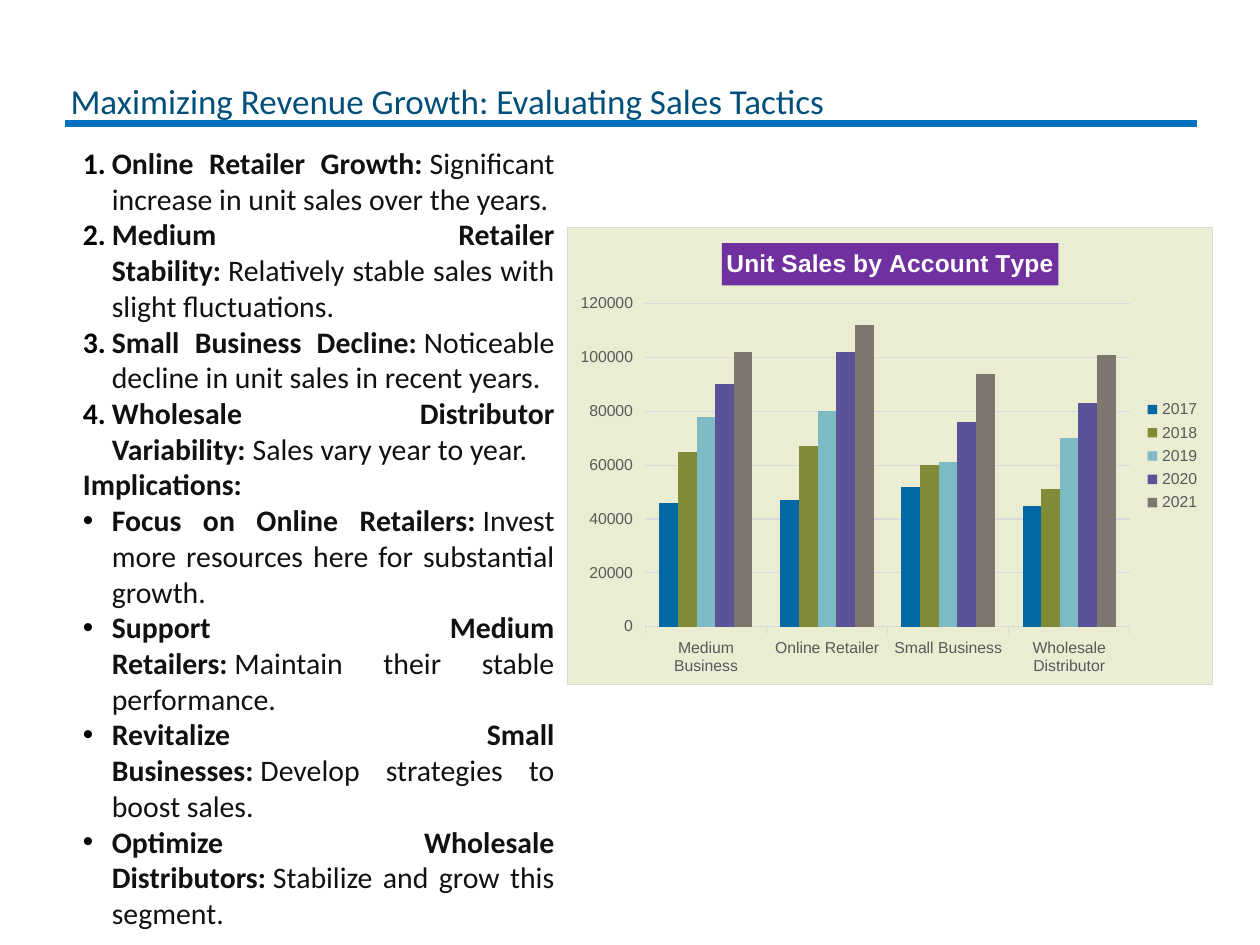
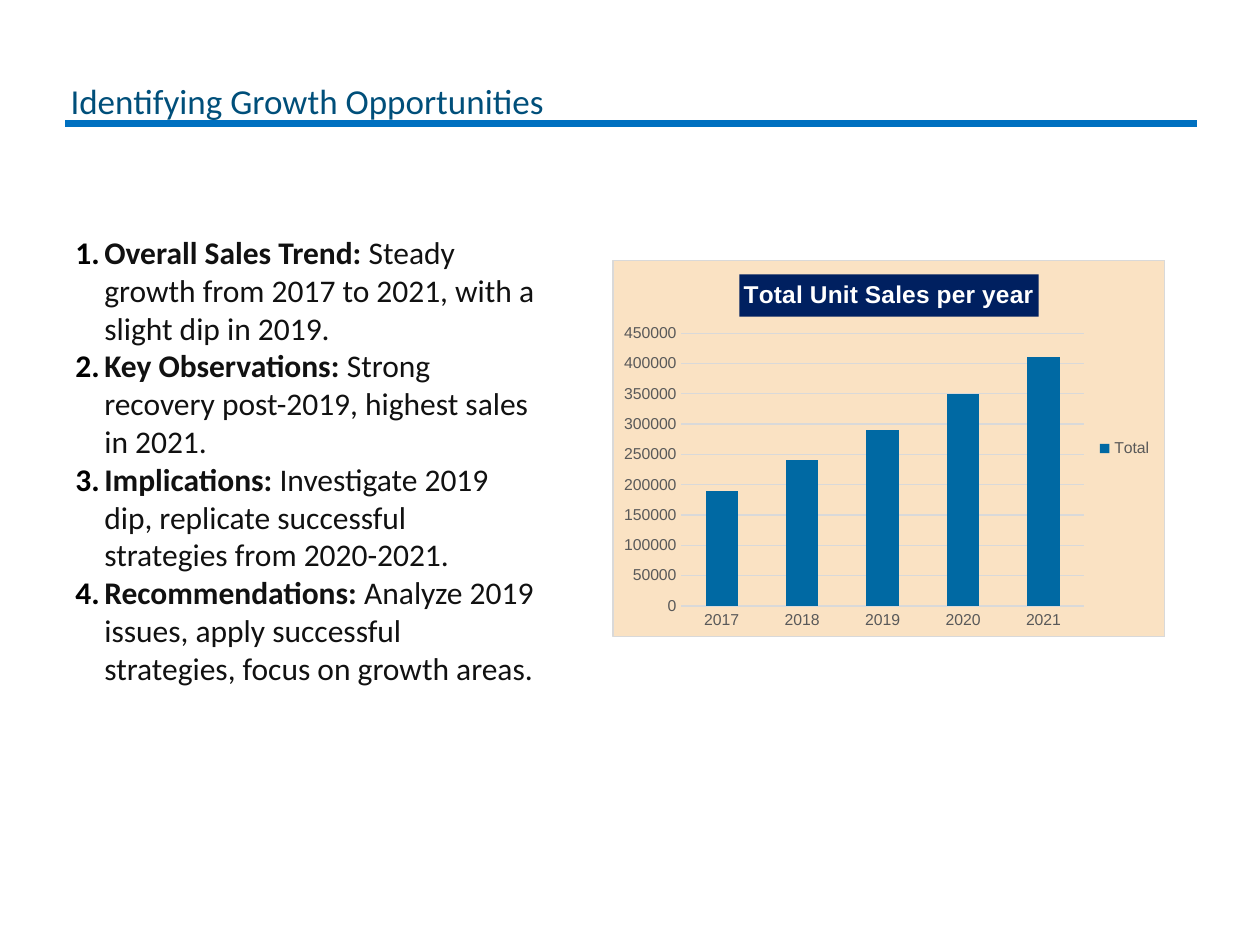
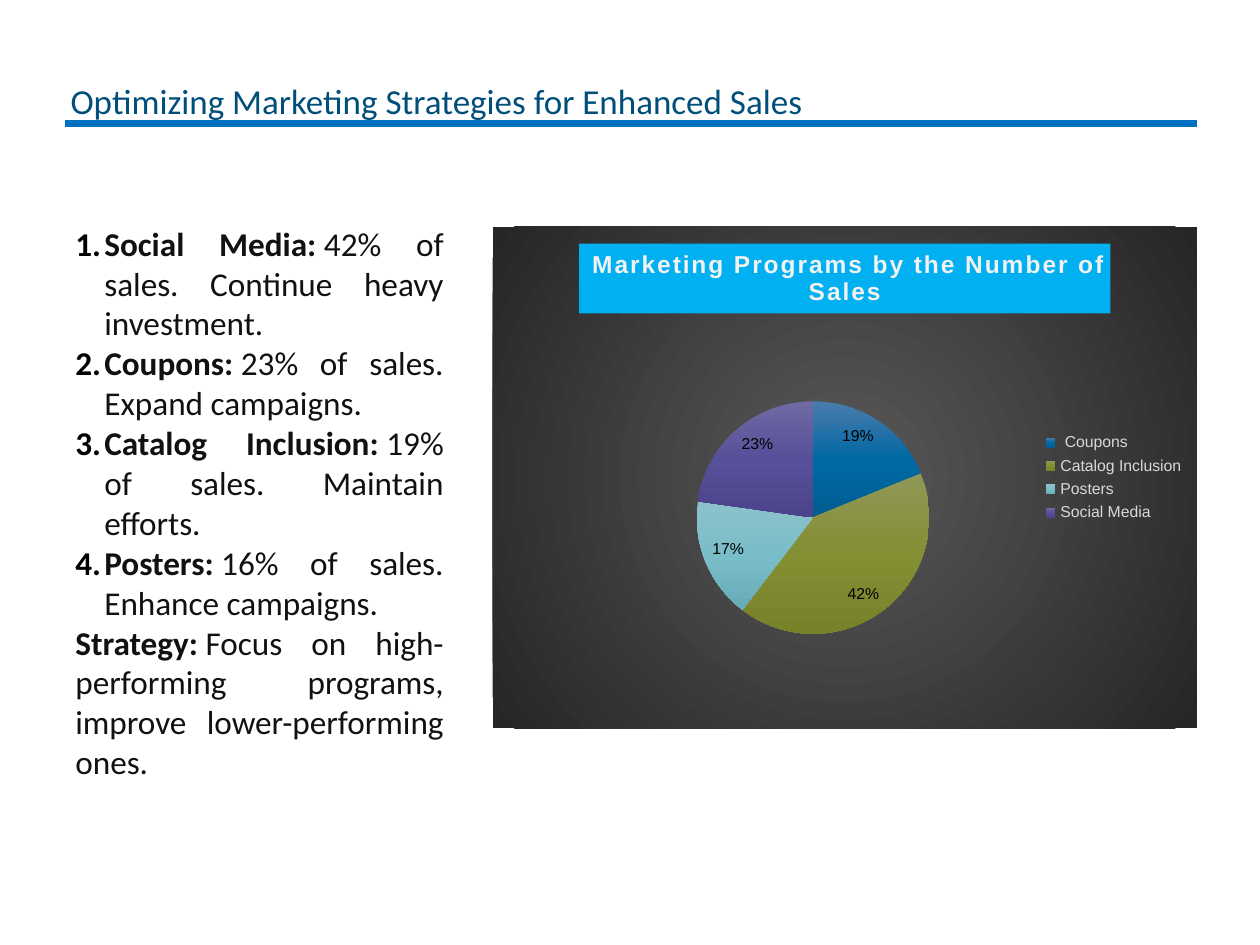
from dataclasses import dataclass

from pptx import Presentation, util as u
from pptx.chart import data as chart_data
from pptx.dml.color import RGBColor
from pptx.enum import chart as ch, shapes, text
from pptx.oxml import parse_xml
from pptx.oxml.ns import nsdecls, qn


@dataclass(frozen=True)
class Theme:
    body_font: str = "Calibri"
    chart_font: str = "Arial"
    heading: str = "004F7A"
    rule: str = "0070C0"
    body: str = "111111"
    black: str = "000000"
    white: str = "FFFFFF"
    axis: str = "595959"
    grid: str = "D9D9D9"
    accents: tuple = ("0069A3", "818A37", "7DBAC4", "5A5397", "7E776F")
    heading_size: int = 20
    chart_title_size: int = 14
    chart_size: int = 10
    label_size: int = 9


THEME = Theme()
PX = 9144  # 100 px to the inch
INDENT = 23
NBSP = chr(160)
DOWN = '<a:lin ang="5400000" scaled="0"/>'
FROM_CENTRE = ('<a:path path="circle"><a:fillToRect l="50000" t="50000" '
               'r="50000" b="50000"/></a:path>')

SLIDES = [
    dict(
        title="Maximizing Revenue Growth: Evaluating Sales Tactics",
        notes_box=(56, 110, 394, 577), size=17, align=text.PP_ALIGN.JUSTIFY,
        points=[
            ("1", "Online Retailer Growth:", "Significant increase in unit sales over the years."),
            ("1", "Medium Retailer Stability:", "Relatively stable sales with slight fluctuations."),
            ("1", "Small Business Decline:", "Noticeable decline in unit sales in recent years."),
            ("1", "Wholesale Distributor Variability:", "Sales vary year to year."),
            ("", "Implications:", ""),
            ("•", "Focus on Online Retailers:", "Invest more resources here for substantial growth."),
            ("•", "Support Medium Retailers:", "Maintain their stable performance."),
            ("•", "Revitalize Small Businesses:", "Develop strategies to boost sales."),
            ("•", "Optimize Wholesale Distributors:", "Stabilize and grow this segment."),
        ],
        kind=ch.XL_CHART_TYPE.COLUMN_CLUSTERED, chart_box=(450, 180, 513, 364),
        chart_title="Unit Sales by Account Type", title_fill="7030A0",
        area=["EAEDD2"], legend_color=THEME.axis, axis_line=True,
        categories=["Medium Business", "Online Retailer", "Small Business",
                    "Wholesale Distributor"],
        series={
            "2017": (46000, 47000, 52000, 45000),
            "2018": (65000, 67000, 60000, 51000),
            "2019": (78000, 80000, 61000, 70000),
            "2020": (90000, 102000, 76000, 83000),
            "2021": (102000, 112000, 94000, 101000),
        },
    ),
    dict(
        title="Identifying Growth Opportunities",
        notes_box=(50, 180, 386, 404), size=18, align=text.PP_ALIGN.LEFT,
        points=[
            ("1", "Overall Sales Trend:", "Steady growth from 2017 to 2021, with a slight dip in 2019."),
            ("1", "Key Observations:", "Strong recovery post-2019, highest sales in 2021."),
            ("1", "Implications:",
             "Investigate 2019 dip, replicate successful strategies from 2020-2021."),
            ("1", "Recommendations:",
             "Analyze 2019 issues, apply successful strategies, focus on growth areas."),
        ],
        kind=ch.XL_CHART_TYPE.COLUMN_CLUSTERED, chart_box=(486, 206, 439, 300),
        chart_title="Total Unit Sales per year", title_fill="002060",
        area=["FAE2C3"], legend_color=THEME.axis, axis_line=False,
        categories=["2017", "2018", "2019", "2020", "2021"],
        series={"Total": (190000, 240000, 290000, 350000, 410000)},
    ),
    dict(
        title="Optimizing Marketing Strategies for Enhanced Sales",
        notes_box=(50, 172, 312, 458), size=19, align=text.PP_ALIGN.JUSTIFY,
        points=[
            ("1", "Social Media:", "42% of sales. Continue heavy investment."),
            ("1", "Coupons:", "23% of sales. Expand campaigns."),
            ("1", "Catalog Inclusion:", "19% of sales. Maintain efforts."),
            ("1", "Posters:", "16% of sales. Enhance campaigns."),
            ("", "Strategy:", "Focus on high-performing programs, improve lower-performing ones."),
        ],
        kind=ch.XL_CHART_TYPE.PIE, chart_box=(391, 180, 559, 398),
        chart_title=" Marketing Programs by the Number of Sales", title_fill="00B0F0",
        title_color="F2F2F2", title_spacing=100,
        area=["595959", "262626"], legend_color=THEME.grid,
        categories=[" Coupons", "Catalog Inclusion", "Posters", "Social Media"],
        series={"Series 1": (19, 42, 17, 23)},
        slices=[("4B7BAD", "0069A3", "005D91"), ("909858", "848E33", "788229"),
                ("8DC2CB", "79BDC8", "68ABB6"), ("6F6AA3", "57509A", "4B448C")],
    ),
]


def write(paragraph, words, *, size, color, bold=False, font=THEME.body_font, spacing=0):
    run = paragraph.add_run()
    run.text = words
    run.font.size, run.font.bold, run.font.name = u.Pt(size), bold, font
    run.font.color.rgb = RGBColor.from_string(color)
    if spacing:
        run.font._element.set("spc", str(spacing))


def fill_properties(colors, direction, border=""):
    """Chart shape properties: solid for one colour, evenly spaced gradient for more."""
    swatches = [f'<a:srgbClr val="{color}"/>' for color in colors]
    if len(colors) == 1:
        fill = f"<a:solidFill>{swatches[0]}</a:solidFill>"
    else:
        stops = "".join(f'<a:gs pos="{100000 * i // (len(colors) - 1)}">{swatch}</a:gs>'
                        for i, swatch in enumerate(swatches))
        fill = f'<a:gradFill rotWithShape="1"><a:gsLst>{stops}</a:gsLst>{direction}</a:gradFill>'
    outline = (f'<a:ln w="9525"><a:solidFill><a:srgbClr val="{border}"/></a:solidFill></a:ln>'
               if border else "<a:ln><a:noFill/></a:ln>")
    return parse_xml(f'<c:spPr {nsdecls("c", "a")}>{fill}{outline}</c:spPr>')


prs = Presentation()
prs.slide_width, prs.slide_height = 1000 * PX, 750 * PX
layout = prs.slide_layouts[5]

for number, content in enumerate(SLIDES):
    slide = prs.slides.add_slide(layout)

    # The rule under the title lives on the layout, behind every slide's text.
    if number == 0:
        rule = slide.shapes.add_connector(shapes.MSO_CONNECTOR.STRAIGHT,
                                          52 * PX, 98 * PX, 950 * PX, 98 * PX)
        rule.line.color.rgb = RGBColor.from_string(THEME.rule)
        rule.line.width = u.Pt(4.5)
        rule.element.spPr.append(parse_xml(f'<a:effectLst {nsdecls("a")}/>'))
        layout.shapes.element.append(rule.element)

    title = slide.shapes.title
    title.left, title.top, title.width, title.height = 56 * PX, 67 * PX, 900 * PX, 30 * PX
    heading = title.text_frame
    heading.margin_left = heading.margin_right = 0
    heading.margin_top = heading.margin_bottom = 5 * PX
    heading.vertical_anchor = text.MSO_ANCHOR.MIDDLE
    heading.auto_size = text.MSO_AUTO_SIZE.NONE
    heading.paragraphs[0].alignment = text.PP_ALIGN.LEFT
    heading.paragraphs[0].line_spacing = 0.9
    write(heading.paragraphs[0], content["title"], size=THEME.heading_size, color=THEME.heading)

    findings = slide.shapes.add_textbox(*(n * PX for n in content["notes_box"])).text_frame
    findings.word_wrap = True
    findings.auto_size = text.MSO_AUTO_SIZE.SHAPE_TO_FIT_TEXT
    for i, (marker, lead, detail) in enumerate(content["points"]):
        point = findings.add_paragraph() if i else findings.paragraphs[0]
        point.alignment = content["align"]
        write(point, lead, size=content["size"], color=THEME.body, bold=True)
        if detail:
            write(point, NBSP + detail, size=content["size"], color=THEME.body)
        if marker:
            props = point._p.get_or_add_pPr()
            props.set("marL", str(INDENT * PX))
            props.set("indent", str(-INDENT * PX))
            bullet = [f'<a:buClr {nsdecls("a")}><a:srgbClr val="{THEME.black}"/></a:buClr>']
            if marker == "1":
                bullet.append(f'<a:buAutoNum {nsdecls("a")} type="arabicPeriod"/>')
            else:
                bullet.append(f'<a:buFont {nsdecls("a")} typeface="{THEME.chart_font}"/>')
                bullet.append(f'<a:buChar {nsdecls("a")} char="{marker}"/>')
            for part in bullet:
                props.append(parse_xml(part))

    sales = chart_data.CategoryChartData()
    sales.categories = content["categories"]
    for name, values in content["series"].items():
        sales.add_series(name, values)
    chart = slide.shapes.add_chart(content["kind"], *(n * PX for n in content["chart_box"]),
                                   sales).chart
    chart.font.size, chart.font.name = u.Pt(THEME.chart_size), THEME.chart_font
    chart.font.color.rgb = RGBColor.from_string(THEME.black)
    is_pie = "slices" in content
    chart.element.find(qn("c:chart")).addnext(
        fill_properties(content["area"], FROM_CENTRE, border="" if is_pie else THEME.grid))

    chart.has_title = True
    chart.chart_title.include_in_layout = False
    banner = chart.chart_title.format.fill
    banner.solid()
    banner.fore_color.rgb = RGBColor.from_string(content["title_fill"])
    write(chart.chart_title.text_frame.paragraphs[0], content["chart_title"],
          size=THEME.chart_title_size, color=content.get("title_color", THEME.white),
          bold=True, font=THEME.chart_font, spacing=content.get("title_spacing", 0))

    chart.has_legend = True
    chart.legend.position = ch.XL_LEGEND_POSITION.RIGHT
    chart.legend.include_in_layout = False
    small_print = [(chart.legend.font, content["legend_color"])]

    plot = chart.plots[0]
    if is_pie:
        plot.vary_by_categories = True
        for i, colors in enumerate(content["slices"]):
            wedge = plot.series[0].points[i].format
            wedge.fill.solid()
            wedge.element.replace(wedge.element.find(qn("c:spPr")),
                                  fill_properties(colors, DOWN))
        plot.has_data_labels = True
        labels = plot.data_labels
        labels.show_percentage, labels.show_value = True, False
        labels.number_format, labels.number_format_is_linked = "0%", False
        labels.position = ch.XL_LABEL_POSITION.INSIDE_END
        small_print.append((labels.font, THEME.black))

        area = chart.element.find(qn("c:chart")).find(qn("c:plotArea"))
        for automatic in area.findall(qn("c:layout")):
            area.remove(automatic)
        place = "".join(f'<c:{tag} val="{value}"/>' for tag, value in [
            ("layoutTarget", "inner"), ("xMode", "edge"), ("yMode", "edge"),
            ("x", 0.29), ("y", 0.29), ("w", 0.33), ("h", 0.58)])
        area.insert(0, parse_xml(f'<c:layout {nsdecls("c")}><c:manualLayout>{place}'
                                 '</c:manualLayout></c:layout>'))
    else:
        plot.vary_by_categories = False
        plot.gap_width, plot.overlap = 150, 0
        for series, color in zip(plot.series, THEME.accents):
            series.format.fill.solid()
            series.format.fill.fore_color.rgb = RGBColor.from_string(color)
        accounts, units = chart.category_axis, chart.value_axis
        units.has_major_gridlines = True
        units.format.line.fill.background()
        drawn = [units.major_gridlines.format.line]
        if content["axis_line"]:
            drawn.append(accounts.format.line)
        else:
            accounts.format.line.fill.background()
        for line in drawn:
            line.color.rgb = RGBColor.from_string(THEME.grid)
            line.width = u.Pt(0.75)
        for axis in (accounts, units):
            axis.major_tick_mark = (ch.XL_TICK_MARK.OUTSIDE if content["axis_line"]
                                    else ch.XL_TICK_MARK.NONE)
            axis.minor_tick_mark = ch.XL_TICK_MARK.NONE
            small_print.append((axis.tick_labels.font, THEME.axis))

    for font, color in small_print:
        font.size, font.name = u.Pt(THEME.label_size), THEME.chart_font
        font.color.rgb = RGBColor.from_string(color)

prs.save("out.pptx")
